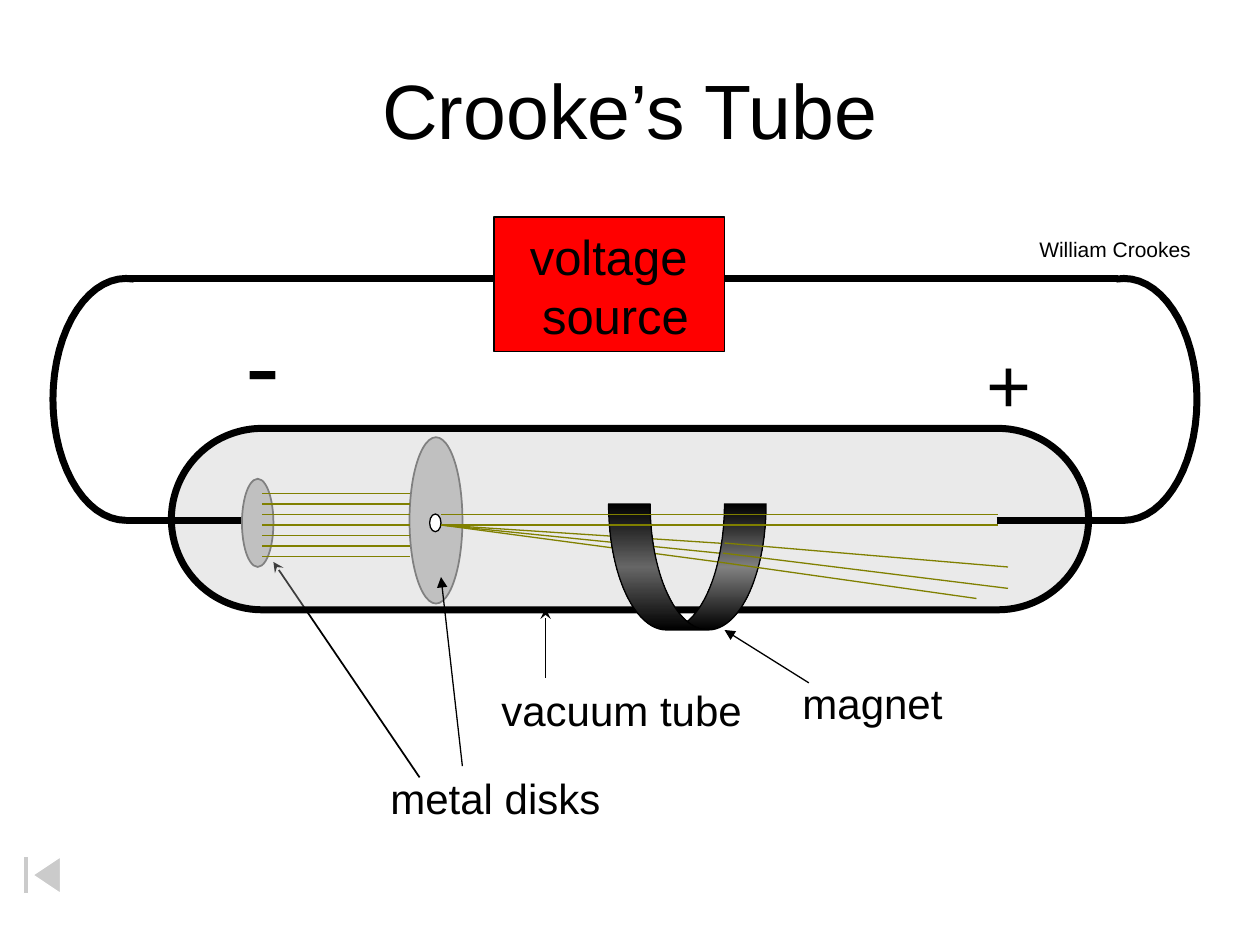
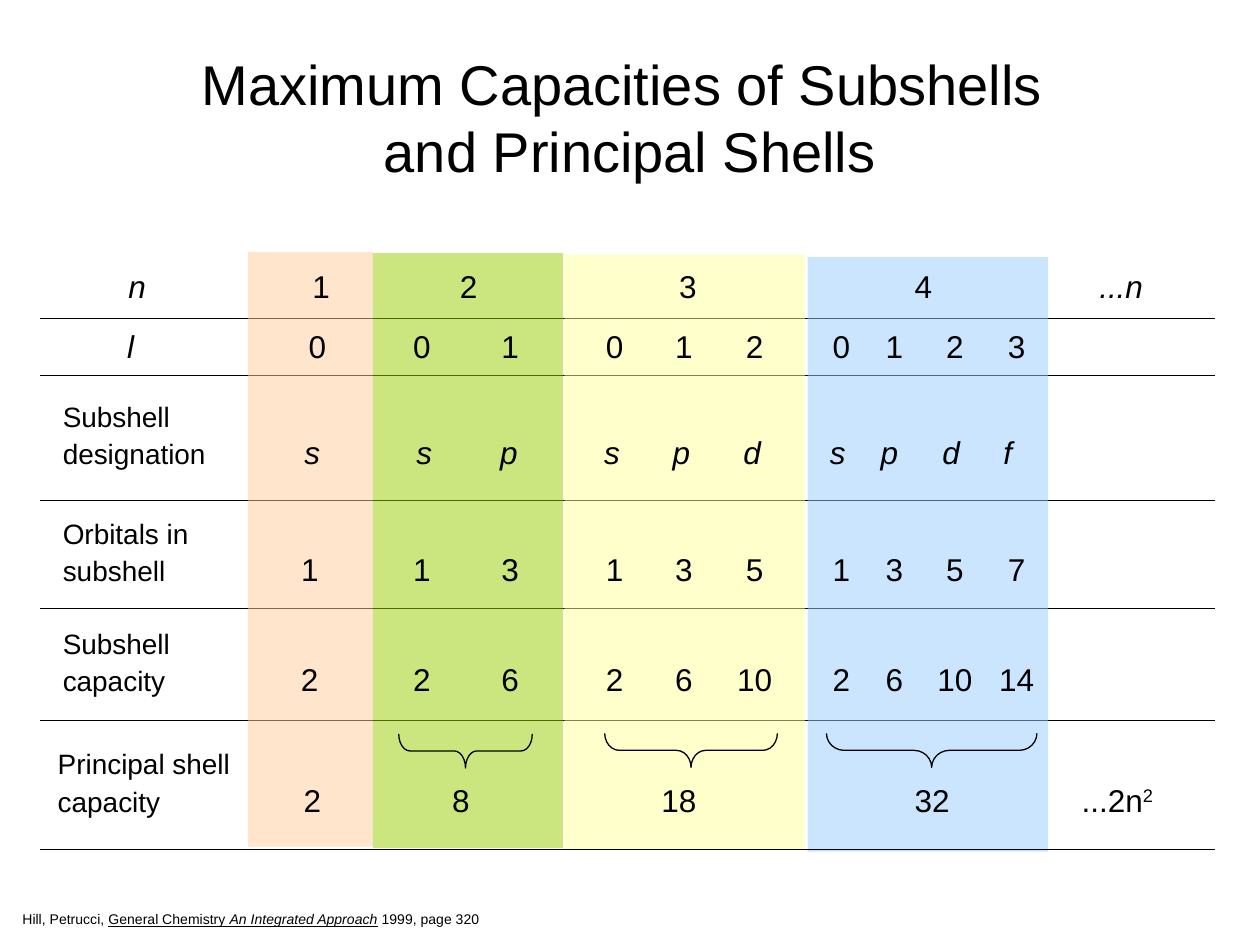
from copy import deepcopy
from dataclasses import dataclass
from math import cos, radians, sin
from typing import NamedTuple

from lxml.etree import SubElement
from pptx import Presentation
from pptx.dml.color import RGBColor
from pptx.enum.shapes import MSO_CONNECTOR, MSO_SHAPE as Preset
from pptx.enum.text import MSO_ANCHOR, MSO_AUTO_SIZE as AutoSize, PP_ALIGN as Align
from pptx.oxml.ns import qn
from pptx.util import Inches, Pt

FONT = "Arial"
BLACK, WHITE = "000000", "FFFFFF"
SILVER, GRAY = "C0C0C0", "808080"
RED, OLIVE = "FF0000", "808000"
INSET = 0.1
TITLE_ONLY = 5
RAY_TOP, RAY_GAP = 47 / 12, 1 / 12
BEAM_Y = RAY_TOP + 3 * RAY_GAP


class Piece(NamedTuple):
    text: str
    size: float
    italic: bool = False
    underline: bool = False
    superscript: bool = False


class Box(NamedTuple):
    left: float
    top: float
    width: float
    height: float

    def lengths(self) -> tuple:
        return tuple(Inches(value) for value in self)


class Line(NamedTuple):
    x1: float
    y1: float
    x2: float
    y2: float
    color: str = BLACK
    weight: float = 0.75
    tail: str = ""


@dataclass
class Solid:
    preset: int
    box: Box
    fill: str = ""
    line: str = ""
    weight: float = 0.75
    opacity: int = 100
    adjustments: tuple = ()
    rotation: float = 0


@dataclass
class Row:
    box: Box
    labels: tuple
    label_size: float
    label_italic: bool
    stops: tuple
    cells: list


def set_color(target, hex_color: str) -> None:
    target.rgb = RGBColor.from_string(hex_color)


def set_line(line, color: str, weight: float) -> None:
    if not color:
        line.fill.background()
        return
    set_color(line.color, color)
    line.width = Pt(weight)


def add_pieces(paragraph, pieces) -> None:
    for piece in pieces:
        run = paragraph.add_run()
        run.text = piece.text
        run.font.name = FONT
        run.font.size = Pt(piece.size)
        run.font.italic = piece.italic
        run.font.underline = piece.underline
        set_color(run.font.color, BLACK)
        if piece.superscript:
            run._r.get_or_add_rPr().set("baseline", "30000")


def add_title(slide, box: Box, size: float, *lines: str) -> None:
    title = slide.shapes.title
    title.left, title.top, title.width, title.height = box.lengths()
    frame = title.text_frame
    frame.auto_size = AutoSize.NONE
    frame.vertical_anchor = MSO_ANCHOR.MIDDLE
    paragraph = frame.paragraphs[0]
    paragraph.alignment = Align.CENTER
    for index, line in enumerate(lines):
        if index:
            paragraph.add_line_break()
        add_pieces(paragraph, [Piece(line, size)])


def add_text(slide, box: Box, paragraphs, align=Align.LEFT, wrap: bool = False):
    frame = slide.shapes.add_textbox(*box.lengths()).text_frame
    frame.word_wrap = wrap
    frame.auto_size = AutoSize.SHAPE_TO_FIT_TEXT
    for index, pieces in enumerate(paragraphs):
        paragraph = frame.add_paragraph() if index else frame.paragraphs[0]
        paragraph.alignment = align
        add_pieces(paragraph, pieces)
    return frame


def add_line(slide, line: Line) -> None:
    ends = [Inches(value) for value in line[:4]]
    connector = slide.shapes.add_connector(MSO_CONNECTOR.STRAIGHT, *ends)
    set_line(connector.line, line.color, line.weight)
    properties = connector._element.spPr
    if line.tail:
        SubElement(properties.find(qn("a:ln")), qn("a:tailEnd"), type=line.tail)
    SubElement(properties, qn("a:effectLst"))


def add_solid(slide, solid: Solid):
    shape = slide.shapes.add_shape(solid.preset, *solid.box.lengths())
    shape.shadow.inherit = False
    shape.rotation = solid.rotation
    for index, value in enumerate(solid.adjustments):
        shape.adjustments[index] = value
    set_line(shape.line, solid.line, solid.weight)
    if not solid.fill:
        shape.fill.background()
        return shape
    shape.fill.solid()
    set_color(shape.fill.fore_color, solid.fill)
    if solid.opacity < 100:
        color = shape._element.spPr.find(qn("a:solidFill"))[0]
        SubElement(color, qn("a:alpha"), val=str(solid.opacity * 1000))
    return shape


def add_wire_bend(slide, center_x: float, side: int) -> None:
    center_y, radius_x, radius_y = 3.17, 0.58, 0.96
    points = [
        (
            Inches(center_x + side * radius_x * cos(radians(angle))),
            Inches(center_y + radius_y * sin(radians(angle))),
        )
        for angle in range(90, -97, -6)
    ]
    builder = slide.shapes.build_freeform(*points[0])
    builder.add_line_segments(points[1:], close=False)
    bend = builder.convert_to_shape()
    bend.shadow.inherit = False
    bend.fill.background()
    set_line(bend.line, BLACK, 4)


def add_magnet(slide) -> None:
    magnet = add_solid(slide, Solid(
        Preset.CURVED_UP_ARROW, Box(4.83, 4, 1.25, 1), BLACK, BLACK,
        adjustments=(0.33, 0.33, 0)))
    magnet.fill.gradient()
    magnet.fill.gradient_angle = 90
    stop_list = magnet._element.spPr.find(qn("a:gradFill")).find(qn("a:gsLst"))
    stop_list.insert(1, deepcopy(stop_list[0]))
    for index, color in enumerate((BLACK, GRAY, BLACK)):
        stop = magnet.fill.gradient_stops[index]
        stop.position = index / 2
        set_color(stop.color, color)


def build_crookes_tube(slide) -> None:
    add_title(slide, Box(0.65, 0.45, 8.7, 0.83), 44, "Crooke’s Tube")
    for text, size, box in (
        ("+", 44, Box(7.73, 2.62, 0.56, 0.83)),
        ("-", 60, Box(1.85, 2.32, 0.48, 1.1)),
        ("vacuum tube", 24, Box(3.88, 5.38, 2.11, 0.5)),
        ("metal disks", 24, Box(3, 6.08, 1.87, 0.5)),
        ("magnet", 24, Box(6.27, 5.33, 1.31, 0.5)),
    ):
        add_text(slide, box, [[Piece(text, size)]])
    add_text(slide, Box(8.15, 1.83, 1.5, 0.3), [[Piece("William Crookes", 12)]], wrap=True)

    add_line(slide, Line(4.33, 5.38, 4.33, 4.83, weight=1, tail="stealth"))
    add_line(slide, Line(3.33, 6.17, 2.17, 4.46, weight=1, tail="stealth"))
    add_solid(slide, Solid(Preset.ROUNDED_RECTANGLE, Box(1.36, 3.4, 7.28, 1.44),
                           SILVER, BLACK, 4, 32, (0.5,)))
    add_solid(slide, Solid(Preset.OVAL, Box(3.25, 3.47, 0.42, 1.32), SILVER, GRAY, 1))

    for x1, x2, y in ((2, 1, 4.13), (7.91, 8.93, 4.13), (1, 8.87, 2.21)):
        add_line(slide, Line(x1, y, x2, y, weight=4))
    add_wire_bend(slide, 1, -1)
    add_wire_bend(slide, 8.92, 1)

    add_solid(slide, Solid(Preset.OVAL, Box(1.92, 3.8, 0.25, 0.7), SILVER, GRAY, 1))
    add_solid(slide, Solid(Preset.RECTANGLE, Box(3.92, 1.72, 1.83, 1.07), RED, BLACK, 1))
    add_text(slide, Box(4.1, 1.75, 1.57, 1.03),
             [[Piece("voltage ", 28)], [Piece("source", 28)]], Align.CENTER)
    add_solid(slide, Solid(Preset.OVAL, Box(3.41, 4.08, 0.09, 0.14), WHITE, BLACK))

    for ray in range(7):
        y = RAY_TOP + ray * RAY_GAP
        add_line(slide, Line(2.08, y, 3.25, y, OLIVE))
    add_line(slide, Line(3.67, 6.08, 3.5, 4.58, tail="triangle"))
    for y in (4.33, 4.42, 4.5):
        add_line(slide, Line(3.5, BEAM_Y, 6, y, OLIVE))
    add_magnet(slide)
    for ends in ((5.75, 4.31, 8, 4.5), (5.74, 4.39, 8, 4.67), (5.7, 4.46, 7.75, 4.75)):
        add_line(slide, Line(*ends, OLIVE))
    add_line(slide, Line(6.42, 5.42, 5.75, 5, tail="triangle"))
    for y in (BEAM_Y - RAY_GAP, BEAM_Y):
        add_line(slide, Line(3.5, y, 7.92, y, OLIVE))
    add_solid(slide, Solid(Preset.ACTION_BUTTON_BEGINNING, Box(0, 6.75, 0.67, 0.39),
                           WHITE, WHITE, opacity=50))


def cells(values: str, italic: bool = False) -> list:
    return [[Piece(value, 18, italic)] for value in values.split()]


SUBSHELL_STOPS = (2.46, 3.35, 4.05, 4.88, 5.43, 5.99, 6.68, 7.1, 7.58, 8.07)
LETTER_STOPS = (2.48, 3.37, 4.04, 4.86, 5.41, 5.97, 6.65, 7.06, 7.55, 8)
ROWS = (
    Row(Box(0.92, 2.07, 8.36, 0.4), ("n",), 18, True, (2.55, 3.72, 5.46, 7.33, 8.9),
        cells("1 2 3 4") + cells("...n", True)),
    Row(Box(0.91, 2.55, 7.65, 0.4), ("l",), 18, True, (2.52, *SUBSHELL_STOPS[1:]),
        cells("0 0 1 0 1 2 0 1 2 3")),
    Row(Box(0.4, 3.12, 7.84, 0.67), ("Subshell", "designation"), 16, False,
        LETTER_STOPS, cells("s s p s p d s p d f", True)),
    Row(Box(0.4, 4.05, 7.95, 0.67), ("Orbitals in", "subshell"), 16, False,
        SUBSHELL_STOPS, cells("1 1 3 1 3 5 1 3 5 7")),
    Row(Box(0.4, 4.92, 8.03, 0.67), ("Subshell", "capacity"), 16, False,
        SUBSHELL_STOPS, cells("2 2 6 2 6 10 2 6 10 14")),
    Row(Box(0.36, 5.88, 9.02, 0.67), ("Principal shell", "capacity"), 16, False,
        (2.48, 3.66, 5.39, 7.4, 8.87),
        cells("2 8 18 32") + [[Piece("...2n", 18), Piece("2", 18, superscript=True)]]),
)


def add_row(slide, row: Row) -> None:
    paragraphs = [[Piece(label, row.label_size, row.label_italic)] for label in row.labels]
    for first, *rest in row.cells:
        paragraphs[-1] += [first._replace(text="\t" + first.text), *rest]
    frame = add_text(slide, row.box, paragraphs, wrap=True)
    properties = frame.paragraphs[-1]._p.get_or_add_pPr()
    tabs = SubElement(properties, qn("a:tabLst"))
    for stop in row.stops:
        position = Inches(stop - row.box.left - INSET)
        SubElement(tabs, qn("a:tab"), pos=str(int(position)), algn="ctr")


def build_capacities(slide) -> None:
    add_title(slide, Box(0.5, 0.3, 9, 1.25), 32,
              "Maximum Capacities of Subshells ", "and Principal Shells")
    *inner_rules, bottom_rule = [
        Line(0.32, y, 9.64, y) for y in (2.53, 2.98, 3.97, 4.83, 5.72, 6.74)]
    for rule in inner_rules:
        add_line(slide, rule)
    for left, top, width, color in (
        (1.97, 2, 0.99, "FFCC99"),
        (2.96, 2.01, 1.51, "99CC00"),
        (4.48, 2.02, 1.91, "FFFF99"),
        (6.41, 2.04, 1.91, "99CCFF"),
    ):
        add_solid(slide, Solid(Preset.RECTANGLE, Box(left, top, width, 4.72),
                               color, opacity=50))
    for row in ROWS:
        add_row(slide, row)
    add_text(slide, Box(0.08, 7.18, 3.84, 0.23), [[
        Piece("Hill, Petrucci, ", 8),
        Piece("General Chemistry ", 8, underline=True),
        Piece("An Integrated Approach", 8, True, True),
        Piece(" 1999, page 320", 8),
    ]])
    add_line(slide, bottom_rule)
    for left, top, span, curve in (
        (3.56, 5.43, 1.06, 0.33), (5.35, 5.27, 1.37, 0.43), (7.26, 5.12, 1.67, 0.52),
    ):
        add_solid(slide, Solid(Preset.LEFT_BRACE, Box(left, top, 0.27, span), line=BLACK,
                               adjustments=(curve, 0.5), rotation=270))


def main() -> None:
    deck = Presentation()
    deck.slide_width, deck.slide_height = Inches(10), Inches(7.5)
    for build in (build_crookes_tube, build_capacities):
        build(deck.slides.add_slide(deck.slide_layouts[TITLE_ONLY]))
    deck.save("out.pptx")


if __name__ == "__main__":
    main()
